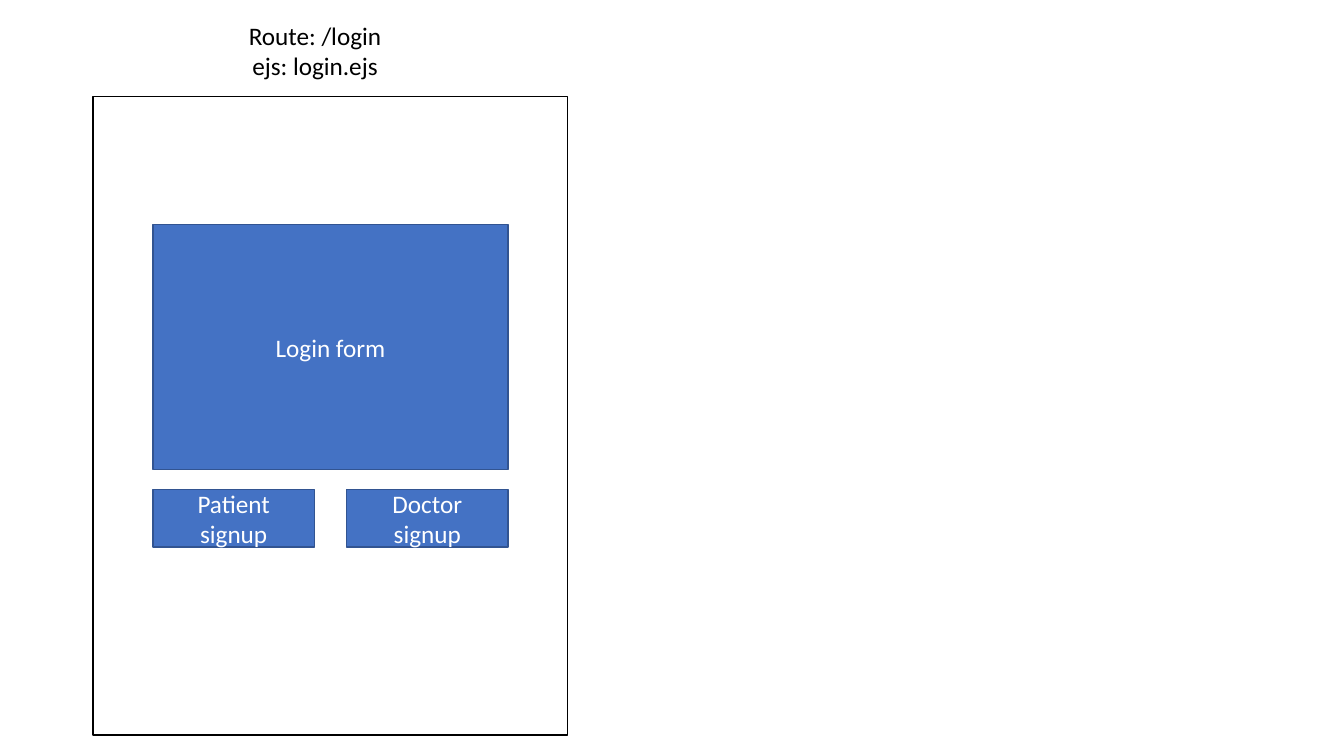
"""Build the login page wireframe slide."""
import dataclasses

import pptx
import pptx.dml.color
import pptx.enum.shapes
import pptx.enum.text
import pptx.util

Cm = pptx.util.Cm
BLACK, WHITE, BLUE, NAVY = "000000", "FFFFFF", "4472C4", "325491"


@dataclasses.dataclass
class Box:
    """A rectangle of the wireframe, in centimetres."""
    left: float
    top: float
    width: float
    height: float
    text: str = ""
    fill: str = BLUE
    line: str = NAVY


def rgb(value: str) -> pptx.dml.color.RGBColor:
    """Turn a hex string into a colour."""
    return pptx.dml.color.RGBColor.from_string(value)


def apply_format(obj, values: dict) -> None:
    """Set every attribute given in the dict."""
    for name, value in values.items():
        setattr(obj, name, value)


def place(sp, left: float, top: float, width: float, height: float) -> None:
    """Move and size a shape given in centimetres."""
    apply_format(sp, {"left": Cm(left), "top": Cm(top), "width": Cm(width), "height": Cm(height)})


def write(sp, text: str, color: str, anchor) -> None:
    """Write centred 18 pt text, one paragraph per line."""
    tf = sp.text_frame
    tf.text = text
    apply_format(tf, {"word_wrap": True, "vertical_anchor": anchor,
                      "auto_size": pptx.enum.text.MSO_AUTO_SIZE.NONE,
                      "margin_left": Cm(0.25), "margin_right": Cm(0.25),
                      "margin_top": Cm(0.13), "margin_bottom": Cm(0.13)})
    for p in tf.paragraphs:
        apply_format(p, {"alignment": pptx.enum.text.PP_ALIGN.CENTER, "line_spacing": 1.0,
                         "space_before": pptx.util.Pt(0)})
        for r in p.runs:
            apply_format(r.font, {"name": "Calibri", "size": pptx.util.Pt(18)})
            r.font.color.rgb = rgb(color)


def draw_box(s, box: Box) -> None:
    """Draw one rectangle with its label."""
    sp = s.shapes.add_shape(pptx.enum.shapes.MSO_SHAPE.RECTANGLE, 0, 0, 0, 0)
    place(sp, box.left, box.top, box.width, box.height)
    sp.shadow.inherit = False
    sp.fill.solid()
    sp.fill.fore_color.rgb = rgb(box.fill)
    sp.line.color.rgb = rgb(box.line)
    sp.line.width = pptx.util.Pt(1)
    if box.text:
        write(sp, box.text, WHITE, pptx.enum.text.MSO_ANCHOR.MIDDLE)


def main() -> None:
    """Build and save the slide."""
    prs = pptx.Presentation()
    apply_format(prs, {"slide_width": Cm(33.87), "slide_height": Cm(19.05)})
    s = prs.slides.add_slide(prs.slide_layouts.get_by_name("Title Only"))

    title = s.shapes.title
    place(title, 4.7, 0.38, 6.48, 1.8)
    write(title, "Route: /login\nejs: login.ejs", BLACK, pptx.enum.text.MSO_ANCHOR.TOP)

    page = Box(2.34, 2.44, 11.96, 16.08, fill=WHITE, line=BLACK)
    form = Box(3.86, 5.66, 8.94, 6.17, "Login form")
    button_width = 4.06
    step = form.width - button_width
    buttons = [Box(form.left + i * step, 12.34, button_width, 1.45, f"{role} signup")
               for i, role in enumerate(("Patient", "Doctor"))]
    for box in (page, form, *buttons):
        draw_box(s, box)

    prs.save("out.pptx")


main()
